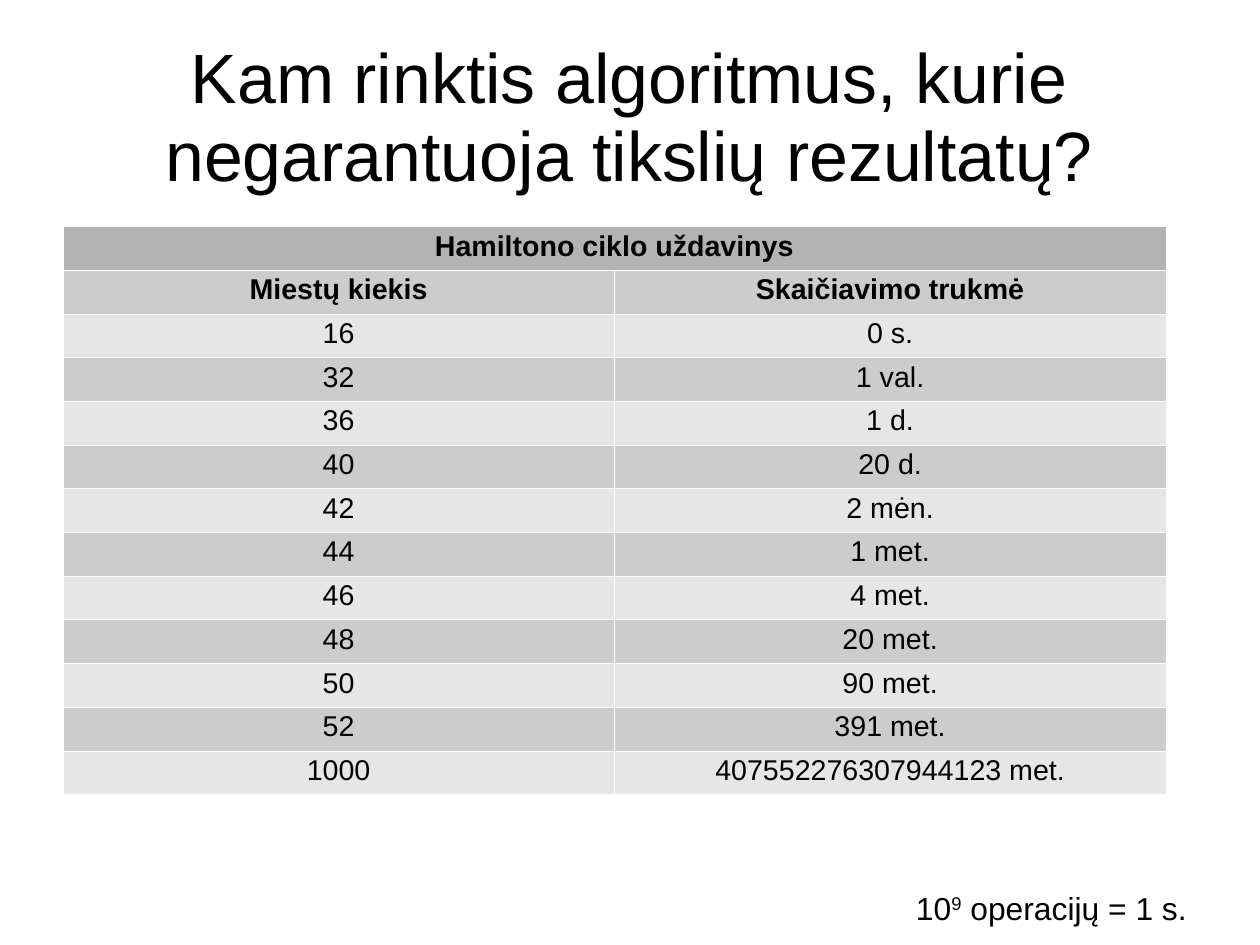
from pptx import Presentation
from pptx.dml.color import RGBColor
from pptx.enum.text import MSO_ANCHOR as Anchor, PP_ALIGN as Align
from pptx.oxml import parse_xml
from pptx.oxml.ns import nsdecls
from pptx.util import Cm, Inches, Pt

TITLE = "Kam rinktis algoritmus, kurie negarantuoja tikslių rezultatų?"
PROBLEM = "Hamiltono ciklo uždavinys"
HEADINGS = ("Miestų kiekis", "Skaičiavimo trukmė")
DURATIONS = [
    ("16", "0 s."),
    ("32", "1 val."),
    ("36", "1 d."),
    ("40", "20 d."),
    ("42", "2 mėn."),
    ("44", "1 met."),
    ("46", "4 met."),
    ("48", "20 met."),
    ("50", "90 met."),
    ("52", "391 met."),
    ("1000", "407552276307944123 met."),
]
SPEED = (("10", 0), ("9", 33000), (" operacijų = 1 s.", 0))
COLORS = {"text": "000000", "problem": "B3B3B3", "dark": "CCCCCC",
          "light": "E6E6E6", "border": "FFFFFF"}
FONT = "Arial"
HEADER_ROWS = 2
TABLE_WIDTH, TABLE_HEIGHT = Inches(9.65), Inches(4.97)


def format_text(paragraph, size, bold=False):
    """Centre a paragraph and set its font."""
    paragraph.alignment = Align.CENTER
    paragraph.line_spacing = 0.94
    font = paragraph.font
    font.name, font.size, font.bold = FONT, Pt(size), bold
    font.color.rgb = RGBColor.from_string(COLORS["text"])


def format_frame(frame, top_inset):
    """Wrap and middle-anchor a text frame."""
    frame.word_wrap = True
    frame.vertical_anchor = Anchor.MIDDLE
    frame.margin_left = frame.margin_right = frame.margin_bottom = 0
    frame.margin_top = Inches(top_inset)


def add_borders(cell):
    """Draw a thin line on each side of a cell, under its fill."""
    properties = cell._tc.get_or_add_tcPr()
    for position, side in enumerate(("lnL", "lnR", "lnT", "lnB")):
        properties.insert(position, parse_xml(
            f'<a:{side} {nsdecls("a")} w="720"><a:solidFill>'
            f'<a:srgbClr val="{COLORS["border"]}"/></a:solidFill></a:{side}>'))


def add_durations(slide):
    """Add the table of calculation times."""
    rows = [(PROBLEM, ""), HEADINGS, *DURATIONS]
    table = slide.shapes.add_table(
        len(rows), len(HEADINGS), Inches(0.55), Inches(1.98),
        TABLE_WIDTH, TABLE_HEIGHT).table
    for row_index, values in enumerate(rows):
        shade = "problem" if row_index == 0 else ("light", "dark")[row_index % 2]
        for column_index, value in enumerate(values):
            cell = table.cell(row_index, column_index)
            cell.text = value
            cell.fill.solid()
            cell.fill.fore_color.rgb = RGBColor.from_string(COLORS[shade])
            format_text(cell.text_frame.paragraphs[0], 18, row_index < HEADER_ROWS)
            add_borders(cell)
    table.cell(0, 0).merge(table.cell(0, 1))


def main():
    """Build the slide and save it."""
    deck = Presentation()
    deck.slide_width, deck.slide_height = Cm(28), Cm(21)
    slide = deck.slides.add_slide(deck.slide_layouts[5])

    title = slide.shapes.title
    title.left, title.top = Inches(0.55), Inches(0.33)
    title.width, title.height = Inches(9.92), Inches(1.38)
    title.text_frame.text = TITLE
    format_frame(title.text_frame, 0.04)
    format_text(title.text_frame.paragraphs[0], 44)

    add_durations(slide)

    speed = slide.shapes.add_textbox(Inches(7.6), Inches(7.3), Inches(3.2), Inches(1.3))
    format_frame(speed.text_frame, 0.02)
    paragraph = speed.text_frame.paragraphs[0]
    for text, baseline in SPEED:
        run = paragraph.add_run()
        run.text = text
        if baseline:
            run.font._element.set("baseline", str(baseline))
    format_text(paragraph, 20)

    deck.save("out.pptx")


if __name__ == "__main__":
    main()
